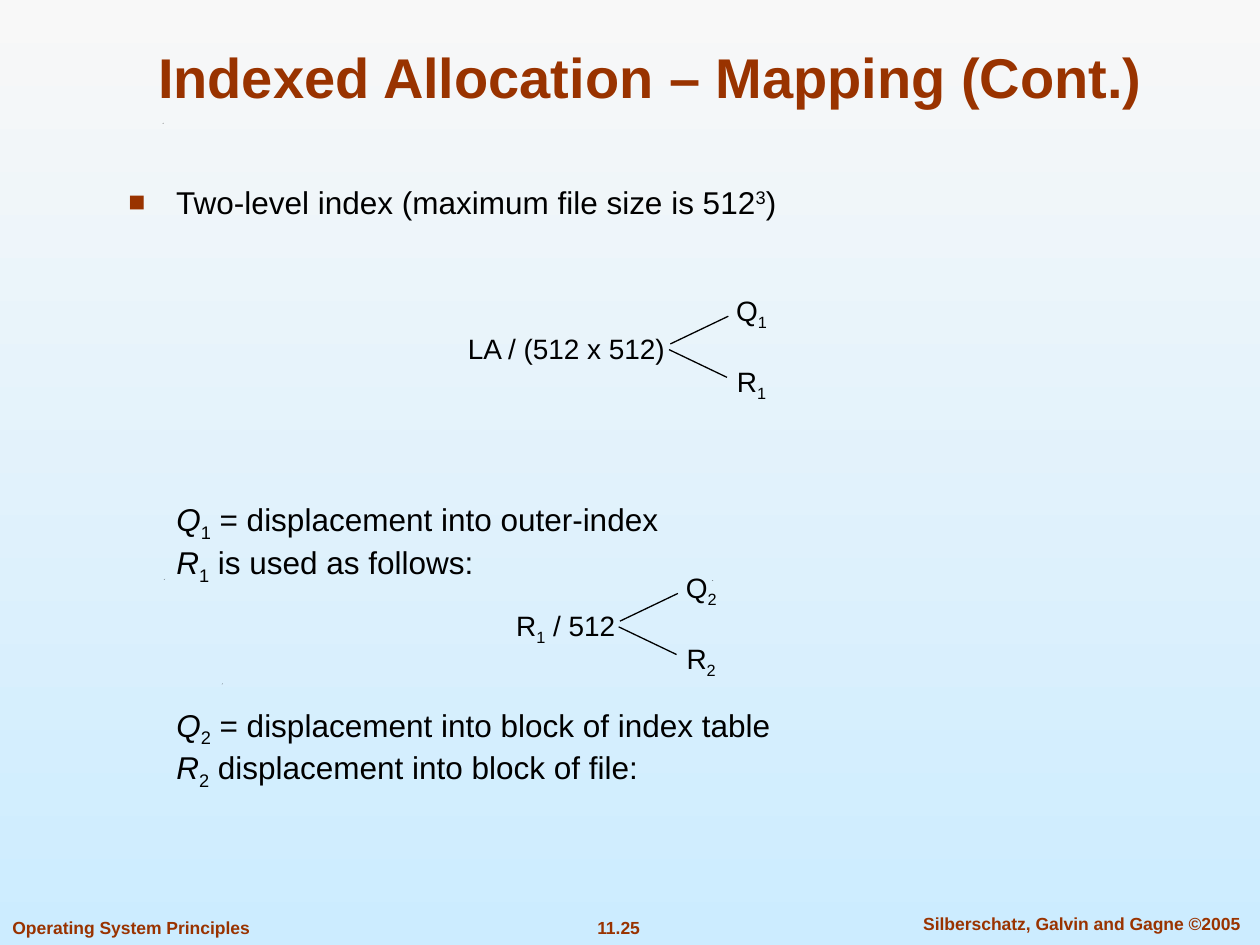
from lxml import etree
from pptx import Presentation
from pptx import util as u
from pptx.dml.color import RGBColor
from pptx.enum import shapes, text
from pptx.oxml.ns import qn

COLUMNS, ROWS = 100, 75
LEFT, CENTER = text.PP_ALIGN.LEFT, text.PP_ALIGN.CENTER
TOP, BOTTOM = text.MSO_ANCHOR.TOP, text.MSO_ANCHOR.BOTTOM
RUST, BLACK = "993300", "000000"
BASELINE = {"sub": "-25000", "sup": "30000"}


def color(value):
    return RGBColor.from_string(value)


class SlideBuilder:
    """Holds the style and the slide; positions are grid columns and rows."""

    font = "Arial"

    def __init__(self, presentation):
        self.column = presentation.slide_width / COLUMNS
        self.row = presentation.slide_height / ROWS
        self.slide = presentation.slides.add_slide(presentation.slide_layouts[6])

    def x(self, columns):
        return round(columns * self.column)

    def y(self, rows):
        return round(rows * self.row)

    def background(self, top, bottom):
        fill = self.slide.background.fill
        fill.gradient()
        fill.gradient_angle = 270
        for stop, position, value in zip(fill.gradient_stops, (0, 1), (top, bottom)):
            stop.position = position
            stop.color.rgb = color(value)

    def text(self, left, top, width, height, paragraphs, size, value=BLACK,
             align=LEFT, anchor=TOP, bold=False, wrap=True, indent=None, bullet=None):
        """Each paragraph is a list of (words, style) runs."""
        box = self.slide.shapes.add_textbox(
            self.x(left), self.y(top), self.x(width), self.y(height))
        frame = box.text_frame
        frame.word_wrap = wrap
        if not wrap:
            frame.auto_size = text.MSO_AUTO_SIZE.SHAPE_TO_FIT_TEXT
        frame.vertical_anchor = anchor
        for number, runs in enumerate(paragraphs):
            paragraph = frame.add_paragraph() if number else frame.paragraphs[0]
            paragraph.alignment = align
            if indent:
                self.indent(paragraph, *indent)
            if bullet:
                self.bullet(paragraph, bullet)
            for words, style in runs:
                run = paragraph.add_run()
                run.text = words
                run.font.name, run.font.size = self.font, u.Pt(size)
                run.font.color.rgb = color(value)
                run.font.bold, run.font.italic = bold, style == "italic"
                if style in BASELINE:
                    run.font._element.set("baseline", BASELINE[style])

    def indent(self, paragraph, margin, first):
        properties = paragraph._p.get_or_add_pPr()
        properties.set("marL", str(self.x(margin)))
        properties.set("indent", str(self.x(first)))

    def bullet(self, paragraph, character):
        properties = paragraph._p.get_or_add_pPr()
        tint = etree.SubElement(properties, qn("a:buClr"))
        etree.SubElement(tint, qn("a:srgbClr"), val=RUST)
        etree.SubElement(properties, qn("a:buSzPct"), val="90000")
        etree.SubElement(properties, qn("a:buFont"), typeface=self.font)
        etree.SubElement(properties, qn("a:buChar"), char=character)

    def line(self, x1, y1, x2, y2):
        connector = self.slide.shapes.add_connector(
            shapes.MSO_CONNECTOR.STRAIGHT, self.x(x1), self.y(y1), self.x(x2), self.y(y2))
        connector.line.color.rgb = color(BLACK)
        connector.line.width = u.Pt(0.75)
        etree.SubElement(connector._element.spPr, qn("a:effectLst"))

    def speck(self, left, top):
        builder = self.slide.shapes.build_freeform(self.x(left), self.y(top))
        builder.add_line_segments(
            [(self.x(left + 0.1), self.y(top - 0.05)), (self.x(left + 0.05), self.y(top))])
        shape = builder.convert_to_shape()
        shape.shadow.inherit = False
        shape.fill.solid()
        shape.fill.fore_color.rgb = color(BLACK)
        shape.line.fill.background()

    def fork(self, x, y, width, formula, level):
        """A division whose quotient and remainder branch off at (x, y)."""
        label = dict(size=16, align=CENTER, wrap=False)
        self.text(x + 0.9 - width, y - 1.7, width, 4.1, [formula], **label)
        for letter, rise in (("Q", -4.7), ("R", 0.95)):
            self.text(x + 4.2, y + rise, 4.7, 4.1, [[(letter, ""), (level, "sub")]], **label)
        self.line(x + 0.1, y - 0.2, x + 4.7, y - 2.4)
        self.line(x, y + 0.25, x + 4.6, y + 2.45)

    def definitions(self, top, level, quotient, remainder):
        paragraphs = [[(letter, "italic"), (level, "sub"), (words, "")]
                      for letter, words in (("Q", quotient), ("R", remainder))]
        self.text(9.2, top, 76.9, 8.1, paragraphs, 18, indent=(6.9, -3.1))


def main():
    presentation = Presentation()
    presentation.slide_width, presentation.slide_height = u.Inches(10), u.Inches(7.5)
    page = SlideBuilder(presentation)
    page.background("F8F8F8", "CCECFF")

    # Background specks
    for left, top in ((17.6, 54.3), (13, 46), (56.5, 46.1), (12.9, 9.8)):
        page.speck(left, top)

    # Footer
    for left, top, width, words, align, wrap in (
            (43.8, 72.3, 10.6, "11.25", CENTER, False),
            (71, 72, 29.7, "Silberschatz, Galvin and Gagne ©2005", CENTER, True),
            (0, 72.3, 21.2, "Operating System Principles", LEFT, False)):
        page.text(left, top, width, 2.7, [[(words, "")]], 10, RUST, align, bold=True, wrap=wrap)

    # Title and main point
    page.text(7.5, 2.5, 88.3, 6.7, [[("Indexed Allocation – Mapping (Cont.)", "")]],
              32, RUST, CENTER, BOTTOM, bold=True)
    page.text(9.2, 14, 80.4, 6.2,
              [[("Two-level index (maximum file size is 512", ""), ("3", "sup"), (")", "")]],
              18, indent=(3.8, -3.8), bullet="■")

    # First level
    page.fork(53.1, 27.5, 18.1, [("LA / (512 x 512)", "")], "1")
    page.definitions(39.2, "1", " = displacement into outer-index", " is used as follows:")

    # Second level
    page.fork(49.1, 49.5, 10.2, [("R", ""), ("1", "sub"), (" / 512", "")], "2")
    page.definitions(55.5, "2", " = displacement into block of index table",
                     " displacement into block of file:")

    presentation.save("out.pptx")


if __name__ == "__main__":
    main()
